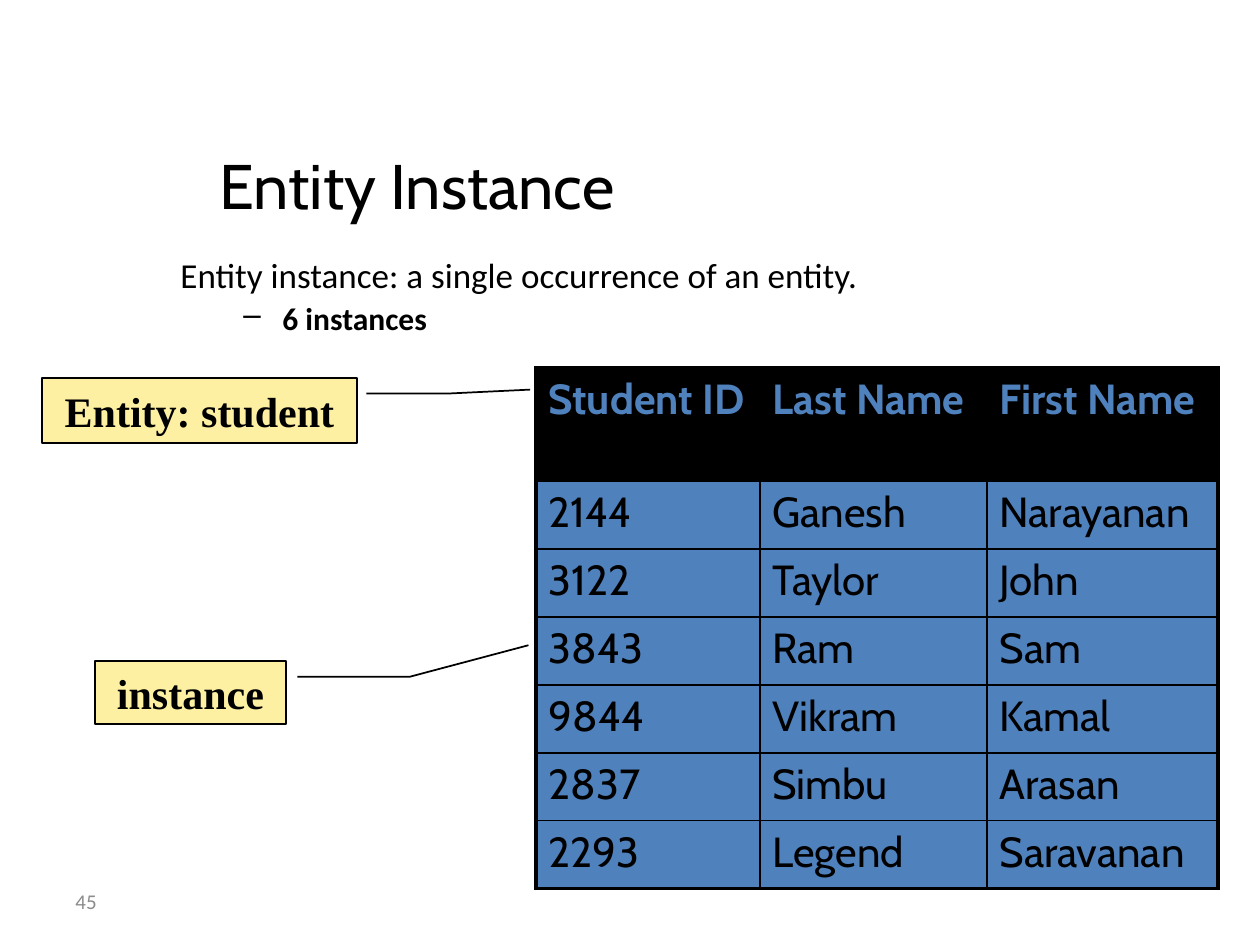
from lxml import etree
from pptx import Presentation
from pptx.dml.color import RGBColor
from pptx.enum.shapes import MSO_SHAPE
from pptx.enum.text import MSO_ANCHOR, PP_ALIGN
from pptx.oxml.ns import qn
from pptx.util import Emu, Pt

BLACK, BLUE, YELLOW, GRAY = "000000", "4F81BD", "FEF0A2", "8C8C8C"
THIN, THICK = 1, 2.25

TITLE = "Entity Instance"
DEFINITION = "Entity instance: a single occurrence of an entity."
COUNT = "6 instances"
PAGE_NUMBER = "45"
STUDENTS = [
    ("Student ID", "Last Name", "First Name"),
    ("2144", "Ganesh", "Narayanan"),
    ("3122", "Taylor", "John"),
    ("3843", "Ram", "Sam"),
    ("9844", "Vikram", "Kamal"),
    ("2837", "Simbu", "Arasan"),
    ("2293", "Legend", "Saravanan"),
]
TABLE_LEFT, TABLE_TOP = 536, 368
COLUMN_WIDTHS = [224, 227, 231]
HEADER_HEIGHT, ROW_HEIGHT = 113, 68
# text, box, leader points as (y, x) fractions of the box
CALLOUTS = [
    ("Entity: student", (42, 378, 315, 65), (0.24, 1.03, 0.24, 1.29, 0.18, 1.55)),
    ("instance", (95, 661, 191, 63), (0.25, 1.06, 0.25, 1.65, -0.25, 2.27)),
]


def px(length):
    return Emu(round(length * 914400 / 126))


def color(value):
    return RGBColor.from_string(value)


def write(paragraph, text, size, font="Calibri", ink=BLACK, bold=False, align=PP_ALIGN.LEFT):
    paragraph.alignment = align
    run = paragraph.add_run()
    run.text = text
    run.font.size = Pt(size)
    run.font.name = font
    run.font.bold = bold
    run.font.color.rgb = color(ink)


def add_text_box(slide, box, anchor=MSO_ANCHOR.TOP):
    frame = slide.shapes.add_textbox(*map(px, box)).text_frame
    frame.word_wrap = True
    frame.vertical_anchor = anchor
    return frame


def add_dash(paragraph, indent, hanging):
    properties = paragraph._p.get_or_add_pPr()
    properties.set("marL", str(px(indent)))
    properties.set("indent", str(-px(hanging)))
    etree.SubElement(properties, qn("a:buChar"), char="–")


def set_borders(cell, widths):
    """Draw black borders; widths are points for left, right, top, bottom."""
    properties = cell._tc.get_or_add_tcPr()
    for position, (side, width) in enumerate(zip("LRTB", widths)):
        line = etree.Element(qn(f"a:ln{side}"), w=str(Pt(width)))
        fill = etree.SubElement(line, qn("a:solidFill"))
        etree.SubElement(fill, qn("a:srgbClr"), val=BLACK)
        properties.insert(position, line)


def add_student_table(slide):
    row_heights = [HEADER_HEIGHT] + [ROW_HEIGHT] * (len(STUDENTS) - 1)
    box = (TABLE_LEFT, TABLE_TOP, sum(COLUMN_WIDTHS), sum(row_heights))
    table = slide.shapes.add_table(len(STUDENTS), len(COLUMN_WIDTHS), *map(px, box)).table
    for column, width in zip(table.columns, COLUMN_WIDTHS):
        column.width = px(width)
    last_row, last_column = len(STUDENTS) - 1, len(COLUMN_WIDTHS) - 1
    for i, (values, height) in enumerate(zip(STUDENTS, row_heights)):
        table.rows[i].height = px(height)
        header = i == 0
        for j, value in enumerate(values):
            cell = table.cell(i, j)
            cell.fill.solid()
            cell.fill.fore_color.rgb = color(BLACK if header else BLUE)
            write(cell.text_frame.paragraphs[0], value, 24, font="Cabin",
                  ink=BLUE if header else BLACK, bold=header)
            outer_edges = (j == 0, j == last_column, header, i == last_row)
            set_borders(cell, [THICK if outer else THIN for outer in outer_edges])


def add_callout(slide, text, box, leader):
    shape = slide.shapes.add_shape(MSO_SHAPE.LINE_CALLOUT_2, *map(px, box))
    for i, value in enumerate(leader):
        shape.adjustments[i] = value
    shape.shadow.inherit = False
    shape.fill.solid()
    shape.fill.fore_color.rgb = color(YELLOW)
    shape.line.color.rgb = color(BLACK)
    shape.line.width = Pt(THIN)
    write(shape.text_frame.paragraphs[0], text, 24, font="Times New Roman",
          bold=True, align=PP_ALIGN.CENTER)


def main():
    presentation = Presentation()
    presentation.slide_width, presentation.slide_height = px(1260), px(945)
    slide = presentation.slides.add_slide(presentation.slide_layouts[6])

    number = add_text_box(slide, (63, 876, 294, 50), MSO_ANCHOR.MIDDLE)
    write(number.paragraphs[0], PAGE_NUMBER, 12, ink=GRAY)

    title = add_text_box(slide, (168, 126, 498, 116), MSO_ANCHOR.MIDDLE)
    write(title.paragraphs[0], TITLE, 36, font="Cabin", align=PP_ALIGN.CENTER)

    body = add_text_box(slide, (168, 252, 1092, 95))
    definition, count = body.paragraphs[0], body.add_paragraph()
    definition.line_spacing = count.line_spacing = 0.9
    count.space_before = Pt(4)
    add_dash(count, indent=102, hanging=39)
    write(definition, DEFINITION, 20)
    write(count, COUNT, 18, bold=True)

    add_student_table(slide)
    for text, box, leader in CALLOUTS:
        add_callout(slide, text, box, leader)
    presentation.save("out.pptx")


if __name__ == "__main__":
    main()
